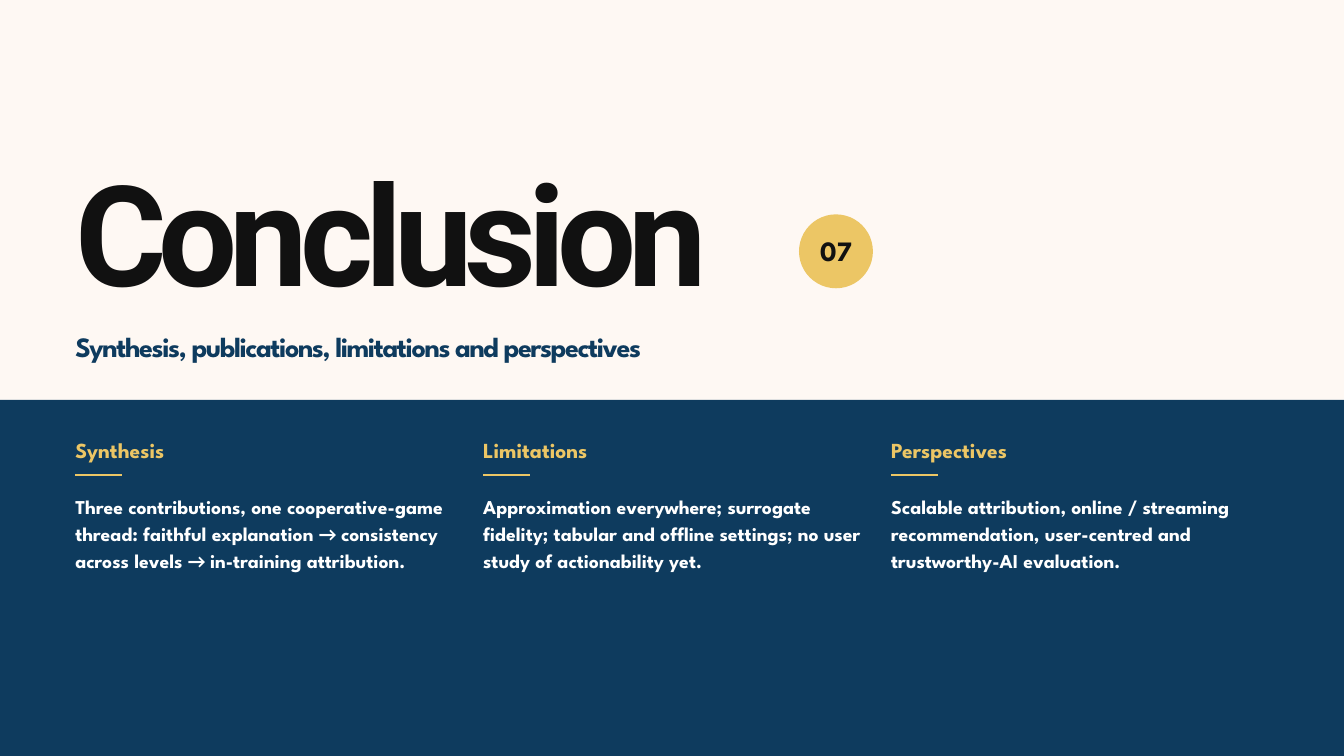
from lxml import etree
from pptx import Presentation
from pptx import util as u
from pptx.dml.color import RGBColor
from pptx.enum import shapes, text
from pptx.oxml.ns import qn

# Content
HEADING = "Conclusion"
NUMBER = "07"
SUBHEADING = "Synthesis, publications, limitations and perspectives"
ARROW = "→ "
COLUMNS = [
    ("Synthesis",
     "Three contributions, one cooperative-game thread: faithful explanation "
     "→ consistency across levels → in-training attribution."),
    ("Limitations",
     "Approximation everywhere; surrogate fidelity; tabular and offline settings; "
     "no user study of actionability yet."),
    ("Perspectives",
     "Scalable attribution, online / streaming recommendation, user-centred and "
     "trustworthy-AI evaluation."),
]

# Style
CREAM = RGBColor(0xFE, 0xF8, 0xF3)
INK = RGBColor(0x11, 0x11, 0x11)
NAVY = RGBColor(0x0E, 0x3B, 0x5E)
GOLD = RGBColor(0xEC, 0xC6, 0x65)
WHITE = RGBColor(0xFF, 0xFF, 0xFF)
HEAD_FONT, TEXT_FONT, ARROW_FONT = "Roboto", "League Spartan", "Calibri"

# Grid, in inches
WIDTH, HEIGHT = 20, 11.25
MARGIN, COLUMN, GAP = 1.12, 5.62, 0.45
BAND_TOP = 5.95
LABEL_TOP, RULE_TOP, BODY_TOP = 6.5, 7.07, 7.3
RULE = 0.7


def inches(*lengths):
    return [u.Inches(length) for length in lengths]


def place(box, left, top, width, height):
    box.left, box.top, box.width, box.height = inches(left, top, width, height)


def write(box, words, size, leading, color, font=TEXT_FONT, tracking=0,
          align=text.PP_ALIGN.LEFT, anchor=text.MSO_ANCHOR.TOP):
    """Fill a box with one bold paragraph; arrows get their own font."""
    frame = box.text_frame
    frame.word_wrap = True
    frame.auto_size = text.MSO_AUTO_SIZE.NONE
    frame.vertical_anchor = anchor
    frame.margin_left = frame.margin_top = frame.margin_right = frame.margin_bottom = 0
    paragraph = frame.paragraphs[0]
    paragraph.alignment = align
    paragraph.line_spacing = u.Pt(leading)
    paragraph.space_before = u.Pt(0)
    for index, phrase in enumerate(words.split(ARROW)):
        pieces = [(ARROW, ARROW_FONT)] if index else []
        for piece, face in pieces + [(phrase, font)]:
            run = paragraph.add_run()
            run.text = piece
            run.font.name, run.font.size, run.font.bold = face, u.Pt(size), True
            run.font.color.rgb = color
            if tracking:
                run._r.get_or_add_rPr().set("spc", str(round(tracking * 100)))


def add_filled(slide, kind, color, *bounds):
    shape = slide.shapes.add_shape(kind, *inches(*bounds))
    shape.shadow.inherit = False
    shape.fill.solid()
    shape.fill.fore_color.rgb = color
    shape.line.fill.background()
    return shape


def add_column(slide, left, label, body):
    label_box = slide.shapes.add_textbox(*inches(left, LABEL_TOP, COLUMN, 0.5))
    write(label_box, label, 23, 28, GOLD)
    rule = slide.shapes.add_connector(
        shapes.MSO_CONNECTOR.STRAIGHT, *inches(left, RULE_TOP, left + RULE, RULE_TOP))
    rule.line.color.rgb = GOLD
    rule.line.width = u.Pt(2.5)
    etree.SubElement(rule._element.spPr, qn("a:effectLst"))
    body_box = slide.shapes.add_textbox(*inches(left, BODY_TOP, COLUMN, 3.4))
    write(body_box, body, 21, 29.4, WHITE)


def main():
    deck = Presentation()
    deck.slide_width, deck.slide_height = inches(WIDTH, HEIGHT)
    slide = deck.slides.add_slide(deck.slide_layouts[0])
    slide.background.fill.solid()
    slide.background.fill.fore_color.rgb = CREAM

    # Title and subtitle
    heading, subheading = slide.placeholders
    place(heading, MARGIN, 2.55, 16.25, 2.5)
    write(heading, HEADING, 150, 153, INK, HEAD_FONT, tracking=-8.7)
    place(subheading, MARGIN, 4.88, 17.75, 0.7)
    write(subheading, SUBHEADING, 30, 38, NAVY, tracking=-1.5)

    # Section number
    badge = add_filled(slide, shapes.MSO_SHAPE.OVAL, GOLD, 11.89, 3.19, 1.1, 1.1)
    write(badge, NUMBER, 30, 34, INK, align=text.PP_ALIGN.CENTER,
          anchor=text.MSO_ANCHOR.MIDDLE)

    # Lower band with three columns
    add_filled(slide, shapes.MSO_SHAPE.RECTANGLE, NAVY,
               0, BAND_TOP, WIDTH, HEIGHT - BAND_TOP)
    for index, (label, body) in enumerate(COLUMNS):
        add_column(slide, MARGIN + index * (COLUMN + GAP), label, body)

    deck.save("out.pptx")


if __name__ == "__main__":
    main()
